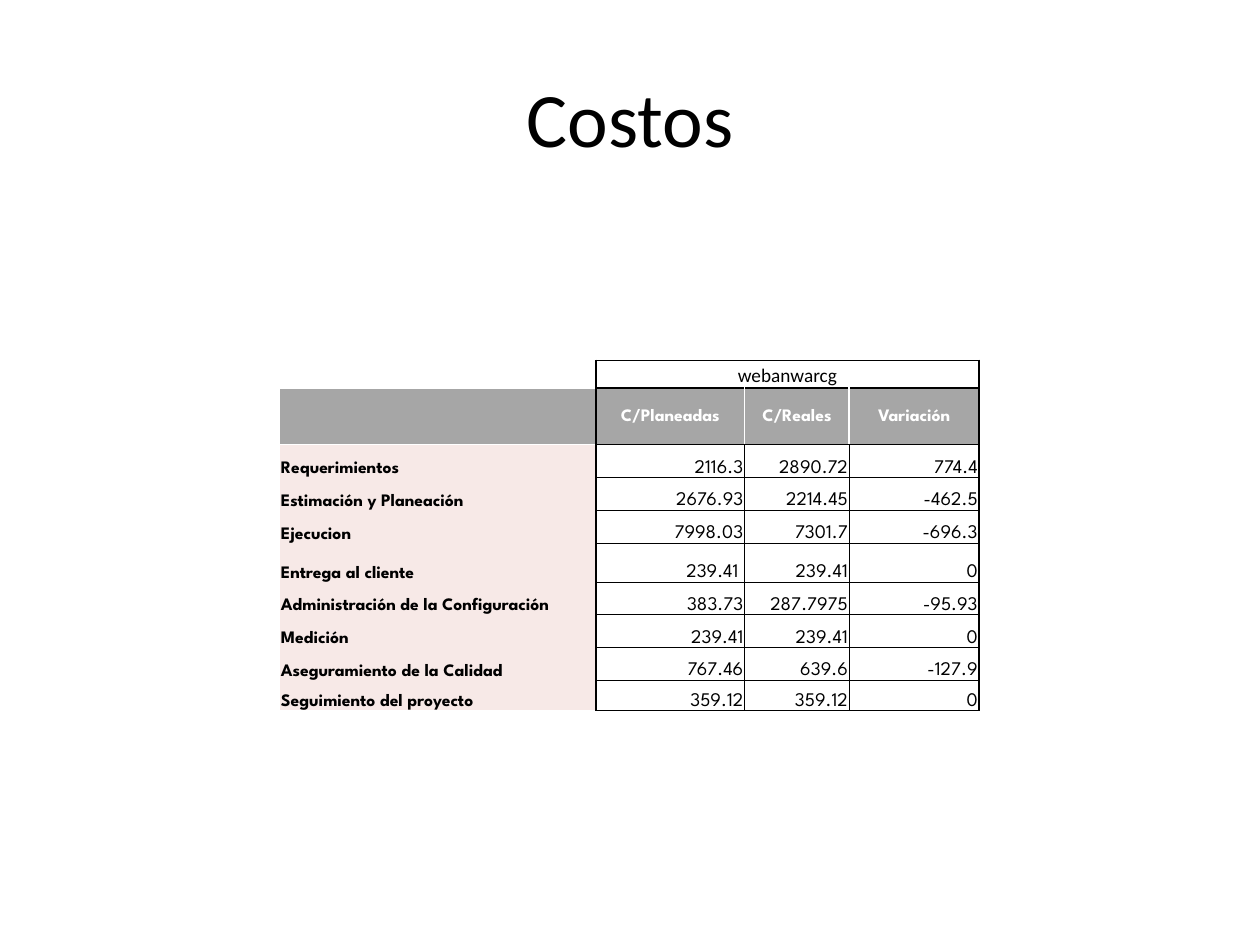
from dataclasses import dataclass

from lxml.etree import SubElement as Sub
from pptx import Presentation
from pptx.dml.color import RGBColor as Rgb
from pptx.enum.text import MSO_ANCHOR as Anchor, PP_ALIGN as Align
from pptx.oxml.ns import qn
from pptx.util import Inches, Pt


@dataclass(frozen=True)
class Theme:
    """Hold the colours, fonts and type sizes."""
    ink: str = "000000"
    paper: str = "FFFFFF"
    head: str = "A6A6A6"
    label: str = "F7E9E7"
    sans: str = "Calibri"
    geo: str = "League Spartan"
    title: float = 44
    body: float = 11
    small: float = 10
    thick: float = 1
    thin: float = 0.5


T = Theme()
COLS = (2.51, 1.18, 0.83, 1.03)
ROWS = (0.22, 0.45, 0.26, 0.26, 0.26, 0.31, 0.26, 0.26, 0.26, 0.24)
COSTS = (
    ("", "webanwarcg", "", ""),
    ("", "C/Planeadas", "C/Reales", "Variación"),
    ("Requerimientos", "2116.3", "2890.72", "774.4"),
    ("Estimación y Planeación", "2676.93", "2214.45", "-462.5"),
    ("Ejecucion", "7998.03", "7301.7", "-696.3"),
    ("Entrega al cliente", "239.41 ", "239.41", "0"),
    ("Administración de la Configuración", "383.73", "287.7975", "-95.93"),
    ("Medición", "239.41", "239.41", "0"),
    ("Aseguramiento de la Calidad", "767.46", "639.6", "-127.9"),
    ("Seguimiento del proyecto", "359.12", "359.12", "0"),
)


def add_run(para, text, font, size, color, bold=False):
    """Add one styled run to a paragraph."""
    run = para.add_run()
    run.text = text
    run.font.name = font
    run.font.size = Pt(size)
    run.font.bold = bold
    run.font.color.rgb = Rgb.from_string(color)


def add_title(slide, text):
    """Add the centred slide title."""
    box = slide.shapes.add_textbox(Inches(0.5), Inches(0.3), Inches(9), Inches(1.25))
    frame = box.text_frame
    frame.word_wrap = True
    frame.vertical_anchor = Anchor.MIDDLE
    para = frame.paragraphs[0]
    para.alignment = Align.CENTER
    add_run(para, text, T.sans, T.title, T.ink)


def upright(row, x):
    """Give the colour and width of a vertical rule."""
    if x == 0:
        return T.paper, T.thick
    if row == 0 or x in (1, len(COLS)):
        return T.ink, T.thick
    return (T.paper, T.thick) if row == 1 else (T.ink, T.thin)


def level(y, col):
    """Give the colour and width of a horizontal rule, if any."""
    if col == 0:
        return (T.paper, T.thick) if y in (1, 2) else None
    return T.ink, T.thick if y in (0, 1, 2, len(ROWS)) else T.thin


def add_edge(cell, tag, rule):
    """Draw or clear one cell border."""
    props = cell._tc.get_or_add_tcPr()
    line = Sub(props, qn(tag), w=str(Pt(rule[1]) if rule else 0))
    if rule:
        fill = Sub(line, qn("a:solidFill"))
        Sub(fill, qn("a:srgbClr"), val=rule[0])
    else:
        Sub(line, qn("a:noFill"))


def style_cell(cell, row, col):
    """Set the borders, fill, margins and anchor of a cell."""
    rules = {
        "a:lnL": upright(row, col),
        "a:lnR": upright(row, col + 1),
        "a:lnT": level(row, col),
        "a:lnB": level(row + 1, col),
    }
    for tag, rule in rules.items():
        add_edge(cell, tag, rule)
    color = T.head if row == 1 else T.label if row > 1 and col == 0 else None
    if color:
        cell.fill.solid()
        cell.fill.fore_color.rgb = Rgb.from_string(color)
    else:
        cell.fill.background()
    cell.margin_left = cell.margin_right = cell.margin_top = Inches(0.01)
    cell.margin_bottom = 0
    cell.vertical_anchor = Anchor.MIDDLE if row == 1 else Anchor.BOTTOM


def fill_cell(cell, text, row, col):
    """Write the text of a cell in the style of its row and column."""
    para = cell.text_frame.paragraphs[0]
    if not text:
        Sub(para._p, qn("a:endParaRPr"), sz=str(int(T.small * 100)))
        return
    if row < 2:
        para.alignment = Align.CENTER
    else:
        para.alignment = Align.RIGHT if col else Align.LEFT
    bold = row == 1 or col == 0
    add_run(para, text, T.geo if row else T.sans, T.small if bold else T.body,
            T.paper if row == 1 else T.ink, bold)


def add_costs(slide):
    """Add the cost table."""
    frame = slide.shapes.add_table(
        len(ROWS), len(COLS), Inches(2.22), Inches(2.86),
        Inches(sum(COLS)), Inches(sum(ROWS)))
    table = frame.table
    table.first_row = table.horz_banding = False
    for col, width in zip(table.columns, COLS):
        col.width = Inches(width)
    for row, height in zip(table.rows, ROWS):
        row.height = Inches(height)
    table.cell(0, 1).merge(table.cell(0, 3))
    for row, texts in enumerate(COSTS):
        for col, text in enumerate(texts):
            cell = table.cell(row, col)
            fill_cell(cell, text, row, col)
            if not cell.is_spanned:
                style_cell(cell, row, col)


def main():
    """Build and save the slide."""
    deck = Presentation()
    deck.slide_width, deck.slide_height = Inches(10), Inches(7.5)
    slide = deck.slides.add_slide(deck.slide_layouts[6])
    add_title(slide, "Costos")
    add_costs(slide)
    deck.save("out.pptx")


main()
